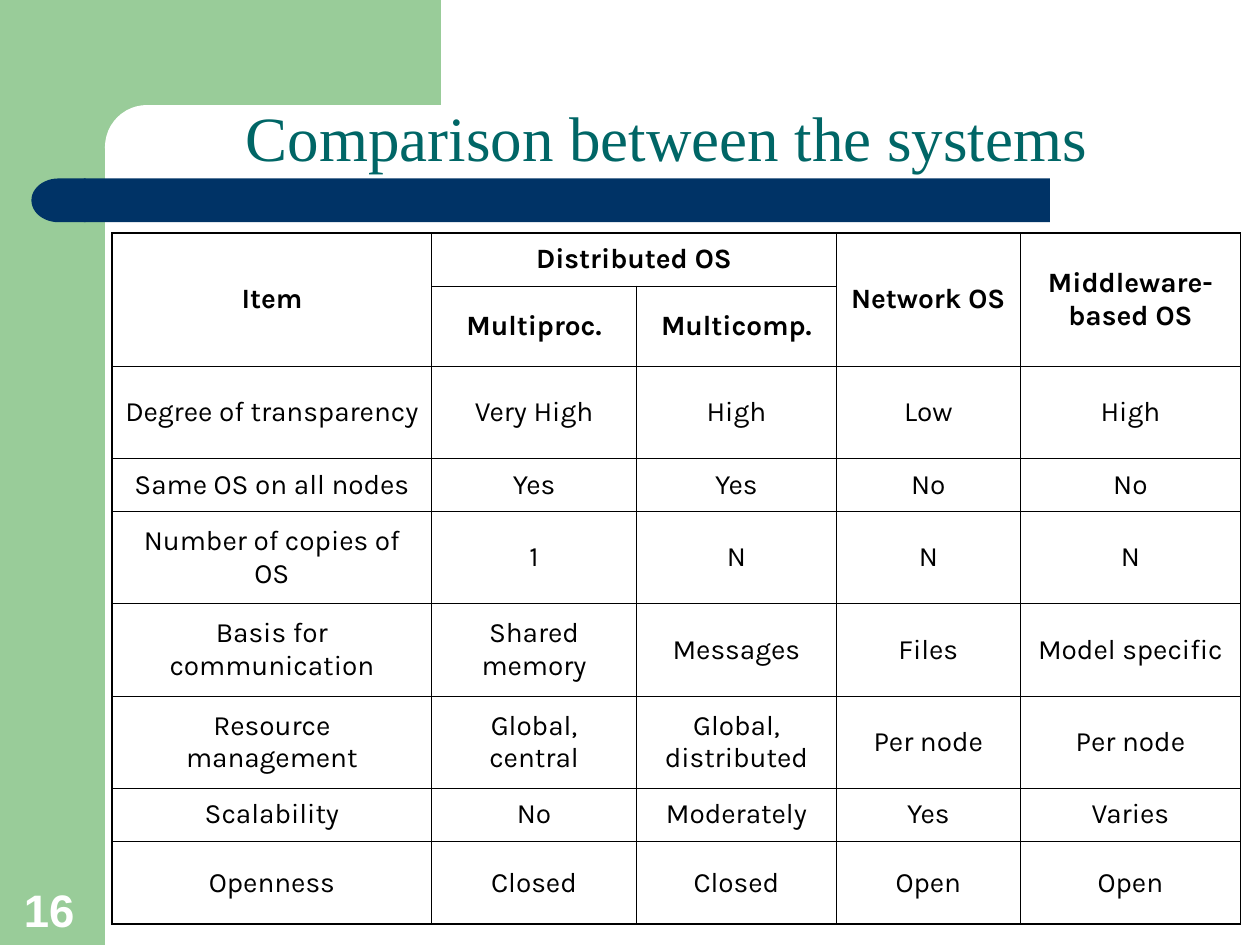
from lxml import etree
from pptx import Presentation
from pptx import util as u
from pptx.dml.color import RGBColor
from pptx.enum import shapes, text
from pptx.oxml.ns import qn

GREEN, NAVY, TEAL, WHITE, BLACK = "99CC99", "003366", "006666", "FFFFFF", "000000"
TITLE = "Comparison between the systems"
PAGE_NUMBER = "16"

HEADER_ROWS = 2
ROWS = [
    ["Item", "Distributed OS", "", "Network OS", "Middleware-based OS"],
    ["", "Multiproc.", "Multicomp.", "", ""],
    ["Degree of transparency", "Very High", "High", "Low", "High"],
    ["Same OS on all nodes", "Yes", "Yes", "No", "No"],
    ["Number of copies of OS", "1", "N", "N", "N"],
    ["Basis for communication", "Shared memory", "Messages", "Files", "Model specific"],
    ["Resource management", "Global, central", "Global, distributed", "Per node", "Per node"],
    ["Scalability", "No", "Moderately", "Yes", "Varies"],
    ["Openness", "Closed", "Closed", "Open", "Open"],
]
MERGES = [((0, 0), (1, 0)), ((0, 1), (0, 2)), ((0, 3), (1, 3)), ((0, 4), (1, 4))]
COLUMN_WIDTHS = [182.6, 117, 114.3, 105, 126]
ROW_HEIGHTS = [30.3, 45.9, 52.7, 30.3, 52.7, 52.7, 52.7, 30.3, 47.5]
TABLE_LEFT, TABLE_TOP = 64.1, 133.2
INNER_LINE, OUTER_LINE = 0.45, 1.08

KIND = shapes.MSO_SHAPE
# kind, left, top, width, height, colour, corner radius, mirrored
DECORATION = [
    (KIND.RECTANGLE, 0, 0, 60, 540, GREEN, None, False),
    (KIND.RECTANGLE, 54, 0, 198, 84, GREEN, None, False),
    (KIND.ROUNDED_RECTANGLE, 60, 60, 246, 48, WHITE, 0.5, False),
    (KIND.ROUNDED_RECTANGLE, 48, 102, 552, 25, NAVY, 0, False),
    (KIND.FLOWCHART_DELAY, 18, 102, 31, 25, NAVY, None, True),
]


def colour(value):
    return RGBColor.from_string(value)


def add_decoration(page, kind, left, top, width, height, fill, radius, mirrored):
    shape = page.shapes.add_shape(kind, *map(u.Pt, (left, top, width, height)))
    shape.shadow.inherit = False
    shape.fill.solid()
    shape.fill.fore_color.rgb = colour(fill)
    shape.line.fill.background()
    if radius is not None:
        shape.adjustments[0] = radius
    if mirrored:
        shape._element.spPr.find(qn("a:xfrm")).set("flipH", "1")


def write(frame, words, size, font, ink, align, bold=False):
    para = frame.paragraphs[0]
    para.alignment = align
    span = para.add_run()
    span.text = words
    span.font.size = u.Pt(size)
    span.font.name = font
    span.font.bold = bold
    span.font.color.rgb = colour(ink)


def add_label(page, left, top, width, height, *style):
    box = page.shapes.add_textbox(*map(u.Pt, (left, top, width, height)))
    frame = box.text_frame
    frame.word_wrap = True
    frame.vertical_anchor = text.MSO_ANCHOR.BOTTOM
    write(frame, *style)


def set_borders(cell, widths):
    """Draw the cell edges; widths maps lnL, lnR, lnT and lnB to points."""
    properties = cell._tc.get_or_add_tcPr()
    for index, (edge, width) in enumerate(widths.items()):
        line = etree.Element(qn("a:" + edge), w=str(int(u.Pt(width))))
        fill = etree.SubElement(line, qn("a:solidFill"))
        etree.SubElement(fill, qn("a:srgbClr"), val=BLACK)
        properties.insert(index, line)


def add_comparison(page):
    last_row, last_column = len(ROWS) - 1, len(COLUMN_WIDTHS) - 1
    frame = page.shapes.add_table(
        len(ROWS), len(COLUMN_WIDTHS), u.Pt(TABLE_LEFT), u.Pt(TABLE_TOP),
        u.Pt(sum(COLUMN_WIDTHS)), u.Pt(sum(ROW_HEIGHTS)))
    table = frame.table
    table.first_row = table.horz_banding = False
    for column, width in zip(table.columns, COLUMN_WIDTHS):
        column.width = u.Pt(width)
    for row, height in zip(table.rows, ROW_HEIGHTS):
        row.height = u.Pt(height)
    for first, last in MERGES:
        table.cell(*first).merge(table.cell(*last))

    for r, row in enumerate(ROWS):
        for c, words in enumerate(row):
            cell = table.cell(r, c)
            cell.fill.background()
            cell.vertical_anchor = text.MSO_ANCHOR.MIDDLE
            outer = {"lnL": c == 0, "lnR": c == last_column,
                     "lnT": r == 0, "lnB": r == last_row}
            set_borders(cell, {edge: OUTER_LINE if is_outer else INNER_LINE
                               for edge, is_outer in outer.items()})
            if words:
                write(cell.text_frame, words, 16, "Karla", BLACK,
                      text.PP_ALIGN.CENTER, r < HEADER_ROWS)


def main():
    deck = Presentation()
    deck.slide_width, deck.slide_height = u.Pt(720), u.Pt(540)
    page = deck.slides.add_slide(deck.slide_layouts[6])
    for item in DECORATION:
        add_decoration(page, *item)
    add_label(page, 6.5, 499.5, 46, 39, PAGE_NUMBER, 26, "Arial", WHITE,
              text.PP_ALIGN.LEFT, True)
    add_label(page, 66, 60, 630, 43, TITLE, 36, "Times New Roman", TEAL,
              text.PP_ALIGN.CENTER)
    add_comparison(page)
    deck.save("out.pptx")


if __name__ == "__main__":
    main()
